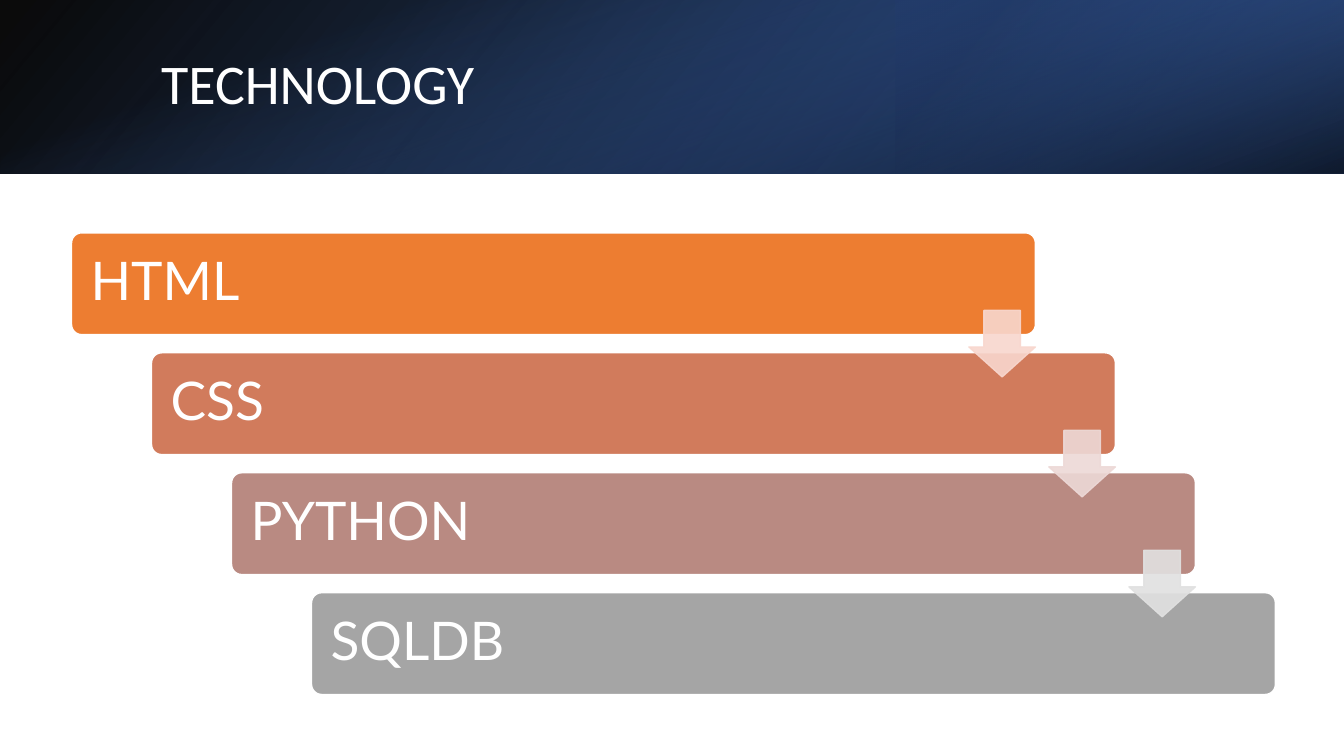
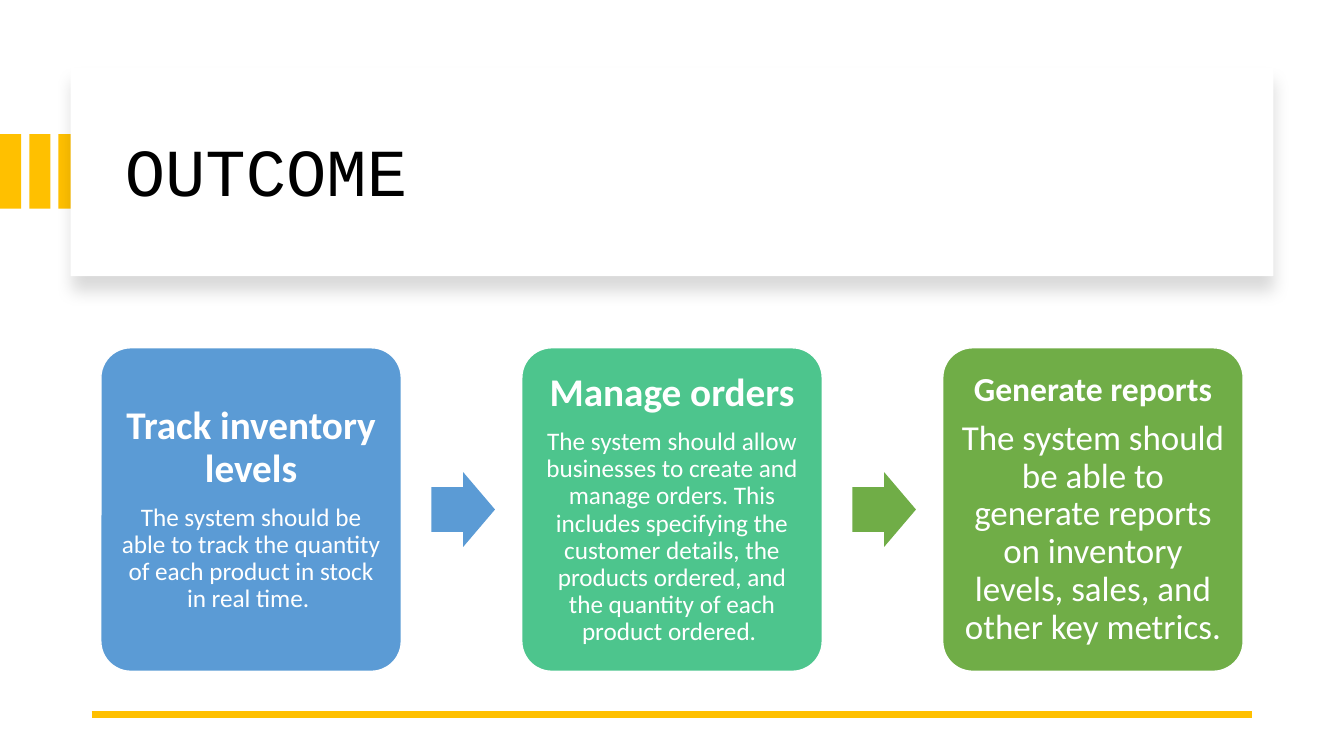
from lxml import etree
from pptx import Presentation
from pptx.dml.color import RGBColor
from pptx.enum.shapes import MSO_CONNECTOR, MSO_SHAPE as SHAPE
from pptx.enum.text import MSO_ANCHOR as ANCHOR, PP_ALIGN as ALIGN
from pptx.oxml import parse_xml
from pptx.oxml.ns import nsdecls, qn
from pptx.util import Inches, Pt

COLORS = {
    "white": "FFFFFF", "black": "000000", "gold": "FFC000",
    "navy": "2F5597", "deep": "203864", "royal": "4472C4",
    "orange": "ED7D31", "terracotta": "D17B5C", "rose": "B98A82", "gray": "A5A5A5",
    "pale_orange": "F8D7CE", "pale_rose": "EDD9D7", "pale_gray": "E1E1E1",
    "blue": "5B9BD5", "teal": "4DC58D", "green": "70AD47",
}
SLIDE_W, SLIDE_H = 13.33, 7.5


def rgb(name):
    return RGBColor.from_string(COLORS[name])


def add_box(s, kind, box, fill=None, line=None, adj=()):
    sp = s.shapes.add_shape(kind, *map(Inches, box))
    sp.shadow.inherit = False
    for i, value in enumerate(adj):
        sp.adjustments[i] = value
    if fill:
        sp.fill.solid()
        sp.fill.fore_color.rgb = rgb(fill)
    if line:
        sp.line.color.rgb = rgb(line)
        sp.line.width = Pt(1)
    else:
        sp.line.fill.background()
    return sp


def set_alpha(sp, percent):
    """Make every fill and line colour of the shape translucent."""
    for clr in sp._element.spPr.iter(qn("a:srgbClr")):
        etree.SubElement(clr, qn("a:alpha"), val=str(percent * 1000))


def add_gradient(s, box, stops, angle, rotation=0, flip=False):
    """Stops are (position %, colour name, opacity %); the angle runs clockwise."""
    sp = add_box(s, SHAPE.RECTANGLE, box)
    sp.rotation = rotation
    spPr = sp._element.spPr
    if flip:
        spPr.xfrm.set("flipH", "1")
    gs = "".join(
        f'<a:gs pos="{pos * 1000}"><a:srgbClr val="{COLORS[name]}">'
        f'<a:alpha val="{alpha * 1000}"/></a:srgbClr></a:gs>'
        for pos, name, alpha in stops)
    spPr.find(qn("a:prstGeom")).addnext(parse_xml(
        f'<a:gradFill {nsdecls("a")} rotWithShape="1"><a:gsLst>{gs}</a:gsLst>'
        f'<a:lin ang="{angle * 60000}" scaled="0"/></a:gradFill>'))


def add_drop_shadow(sp):
    sp._element.spPr.find(qn("a:effectLst")).append(parse_xml(
        f'<a:outerShdw {nsdecls("a")} blurRad="{Pt(11)}" dist="{Pt(10)}" dir="5400000" '
        f'algn="t" rotWithShape="0"><a:srgbClr val="{COLORS["black"]}">'
        '<a:alpha val="15000"/></a:srgbClr></a:outerShdw>'))


def write(sp, paragraphs, font, color="white", align=ALIGN.LEFT, inset=None, after=0.35):
    """Paragraphs are (text, size, bold); after is a share of the text size."""
    tf = sp.text_frame
    tf.word_wrap = True
    tf.vertical_anchor = ANCHOR.MIDDLE
    if inset is not None:
        for side in ("left", "top", "right", "bottom"):
            setattr(tf, f"margin_{side}", Inches(inset))
    for i, (text, size, bold) in enumerate(paragraphs):
        p = tf.add_paragraph() if i else tf.paragraphs[0]
        layout = {"alignment": align, "line_spacing": 0.9, "space_after": Pt(after * size)}
        for key, value in layout.items():
            setattr(p, key, value)
        r = p.add_run()
        r.text = text
        for key, value in {"name": font, "size": Pt(size), "bold": bold}.items():
            setattr(r.font, key, value)
        r.font.color.rgb = rgb(color)


def add_title(s, box, text, size, font, color):
    sp = s.shapes.add_textbox(*map(Inches, box))
    write(sp, [(text, size, False)], font, color, after=0)


def add_gradient_band(s, box, title):
    x, y, w, h = box
    third = w / 3
    add_gradient(s, box, [(0, "black", 96), (100, "navy", 100)], 140, flip=True)
    add_gradient(s, (x + w - third, y, third, h),
                 [(19, "deep", 68), (100, "royal", 79)], 320, rotation=180, flip=True)
    upright = (x + (w - h) / 2, y + (h - w) / 2, h, w)
    add_gradient(s, upright, [(23, "royal", 0), (99, "black", 74)], 340, rotation=90)
    add_title(s, (x + 1.5, y + 0.38, 10.98, 0.96), title, 40, "Calibri", "white")


def add_staircase(s, box, steps, arrow_colors):
    x, y, w, h = box
    bar_w, bar_h, arrow = 9.56, 1.01, 0.66
    dx, dy = (w - bar_w) / (len(steps) - 1), (h - bar_h) / (len(steps) - 1)
    for i, (text, color) in enumerate(steps):
        bar = add_box(s, SHAPE.ROUNDED_RECTANGLE, (x + i * dx, y + i * dy, bar_w, bar_h),
                      color, "white", [0.1])
        write(bar, [(text, 38, False)], "Lato", inset=0.16)
    for i, color in enumerate(arrow_colors):
        sp = add_box(s, SHAPE.DOWN_ARROW,
                     (x + i * dx + bar_w - arrow, y + i * dy + 0.77, arrow, arrow),
                     color, color, [0.55, 0.45])
        set_alpha(sp, 90)


def add_title_panel(s, box, title):
    x, y, w, h = box
    for i in range(3):
        add_box(s, SHAPE.RECTANGLE, (i * 0.29, y + 0.66, 0.21, 0.74), "gold")
    add_drop_shadow(add_box(s, SHAPE.RECTANGLE, box, "white"))
    add_title(s, (x + 0.44, y + 0.21, w - 0.8, 1.7), title, 48, "Courier New", "black")


def add_rule(s, x, y, w):
    line = s.shapes.add_connector(MSO_CONNECTOR.STRAIGHT, *map(Inches, (x, y, x + w, y)))
    line.line.color.rgb = rgb("gold")
    line.line.width = Pt(4.5)
    etree.SubElement(line._element.spPr, qn("a:effectLst"))


def add_card_flow(s, box, cards, arrow_colors):
    x, y, w, h = box
    card_w, arrow_w, arrow_h = 2.98, 0.63, 0.74
    step = (w - card_w) / (len(cards) - 1)
    for i, (color, inset, paragraphs) in enumerate(cards):
        card = add_box(s, SHAPE.ROUNDED_RECTANGLE, (x + i * step, y, card_w, h),
                       color, "white", [0.1])
        write(card, paragraphs, "Calibri", align=ALIGN.CENTER, inset=inset)
    for i, color in enumerate(arrow_colors):
        add_box(s, SHAPE.RIGHT_ARROW,
                (x + i * step + card_w + 0.3, y + (h - arrow_h) / 2, arrow_w, arrow_h),
                color, adj=[0.6, 0.5])


def technology_slide(s):
    add_gradient_band(s, (0, 0, SLIDE_W, 1.72), "TECHNOLOGY")
    steps = [("HTML", "orange"), ("CSS", "terracotta"), ("PYTHON", "rose"), ("SQLDB", "gray")]
    add_staircase(s, (0.71, 2.31, 11.94, 4.58), steps,
                  ["pale_orange", "pale_rose", "pale_gray"])


def outcome_slide(s):
    add_title_panel(s, (0.7, 0.67, 11.93, 2.07), "OUTCOME")
    add_rule(s, 0.91, 7.09, 11.51)
    cards = [
        ("blue", 0.12, [
            ("Track inventory levels", 28, True),
            ("The system should be able to track the quantity of each product in stock "
             "in real time. ", 18, False)]),
        ("teal", 0.12, [
            ("Manage orders", 28, True),
            ("The system should allow businesses to create and manage orders. This includes "
             "specifying the customer details, the products ordered, and the quantity of each "
             "product ordered. ", 18, False)]),
        ("green", 0.1, [
            ("Generate reports", 24, True),
            ("The system should be able to generate reports on inventory levels, sales, and "
             "other key metrics. ", 25, False)]),
    ]
    add_card_flow(s, (1, 3.45, 11.33, 3.21), cards, ["blue", "green"])


def main():
    prs = Presentation()
    prs.slide_width, prs.slide_height = Inches(SLIDE_W), Inches(SLIDE_H)
    for build in (technology_slide, outcome_slide):
        build(prs.slides.add_slide(prs.slide_layouts[6]))
    prs.save("out.pptx")


if __name__ == "__main__":
    main()
